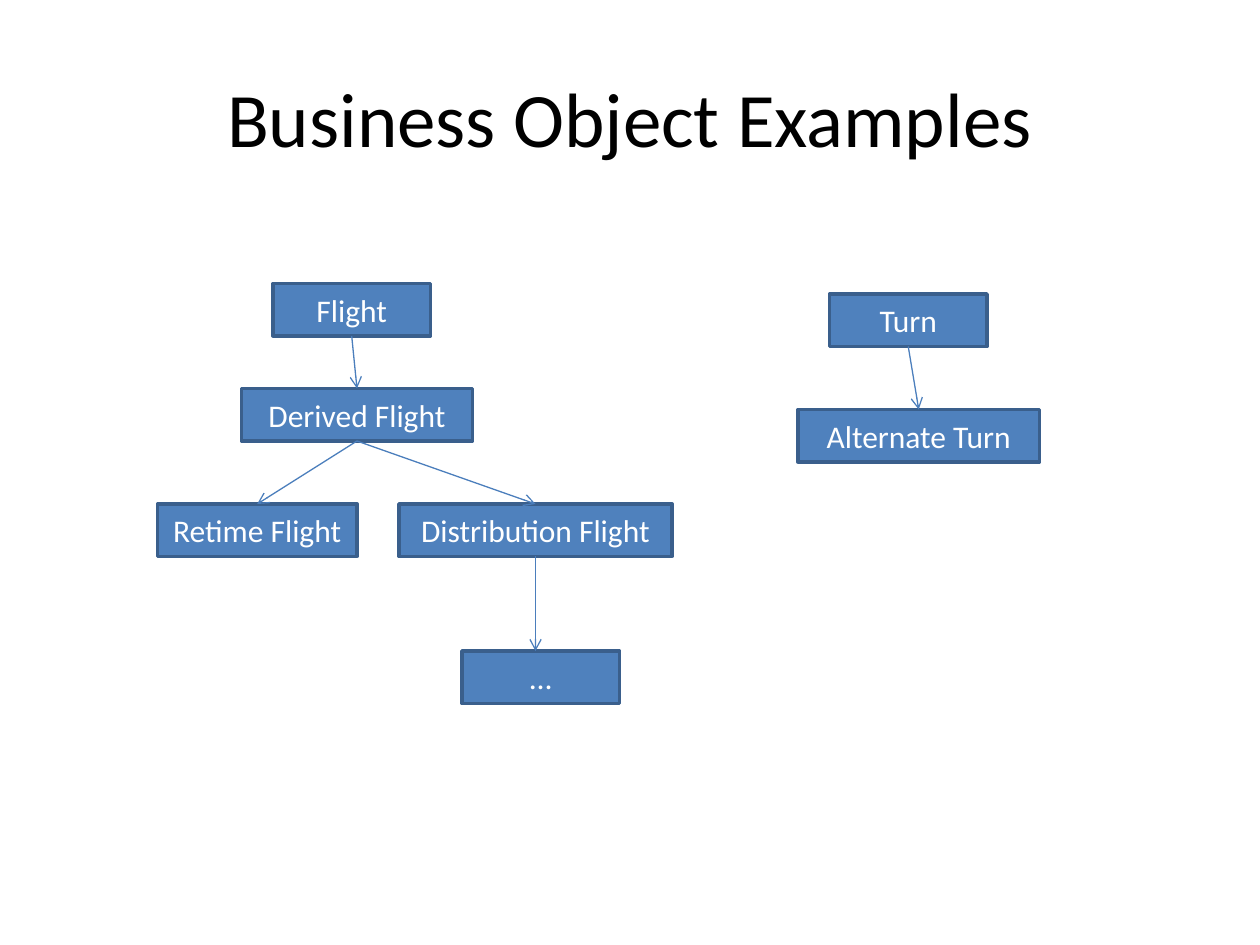
from dataclasses import dataclass

from lxml.etree import SubElement
from pptx import Presentation
from pptx.dml.color import RGBColor
from pptx.enum.shapes import MSO_CONNECTOR, MSO_SHAPE
from pptx.enum.text import MSO_ANCHOR, PP_ALIGN
from pptx.oxml.ns import qn
from pptx.shapes.autoshape import Shape
from pptx.shapes.shapetree import SlideShapes
from pptx.text.text import TextFrame
from pptx.util import Emu, Pt

FONT = "Calibri"
HIGH = 40
TOP, BOTTOM = 0, 2


@dataclass(frozen=True)
class Box:
    """A named business object and its place in px."""

    text: str
    left: int
    top: int
    width: int = 120

    @property
    def mid(self) -> int:
        """Give the x of the box centre."""
        return self.left + self.width // 2


@dataclass(frozen=True)
class Link:
    """An arrow from the bottom of one box to the top of another."""

    start: Box
    end: Box


FLIGHT = Box("Flight", 208, 216)
DERIVED = Box("Derived Flight", 184, 296, 176)
RETIME = Box("Retime Flight", 120, 384, 152)
DISTRIB = Box("Distribution Flight", 304, 384, 208)
MORE = Box("…", 352, 496)
TURN = Box("Turn", 632, 224)
ALTERN = Box("Alternate Turn", 608, 312, 184)

BOXES = [FLIGHT, DERIVED, RETIME, DISTRIB, MORE, TURN, ALTERN]
LINKS = [
    Link(FLIGHT, DERIVED),
    Link(DERIVED, RETIME),
    Link(DERIVED, DISTRIB),
    Link(TURN, ALTERN),
]


def px(count: int) -> Emu:
    """Turn px into EMU at 96 px to the inch."""
    return Emu(count * 9525)


def color(code: str) -> RGBColor:
    """Turn a hex string into a colour."""
    return RGBColor.from_string(code)


def write(frame: TextFrame, text: str, size: int, code: str) -> None:
    """Write one centred run in the middle of a frame."""
    frame.word_wrap = True
    frame.vertical_anchor = MSO_ANCHOR.MIDDLE
    para = frame.paragraphs[0]
    para.alignment = PP_ALIGN.CENTER
    run = para.add_run()
    run.text = text
    run.font.name = FONT
    run.font.size = Pt(size)
    run.font.color.rgb = color(code)


def draw_box(shapes: SlideShapes, box: Box) -> Shape:
    """Draw a business object."""
    shape = shapes.add_shape(
        MSO_SHAPE.RECTANGLE, px(box.left), px(box.top), px(box.width), px(HIGH)
    )
    shape.shadow.inherit = False
    shape.fill.solid()
    shape.fill.fore_color.rgb = color("4F81BD")
    shape.line.color.rgb = color("3A5F8C")
    shape.line.width = Pt(2)
    write(shape.text_frame, box.text, 18, "FFFFFF")
    return shape


def draw_link(shapes: SlideShapes, link: Link, drawn: dict[Box, Shape]) -> None:
    """Draw an arrow, joined wherever it meets the middle of a side."""
    start, end = link.start, link.end
    goal = start.mid if end is MORE else end.mid
    line = shapes.add_connector(
        MSO_CONNECTOR.STRAIGHT,
        px(start.mid), px(start.top + HIGH), px(goal), px(end.top),
    )
    line.begin_connect(drawn[start], BOTTOM)
    if goal == end.mid:
        line.end_connect(drawn[end], TOP)
    line.line.color.rgb = color("4B7EBC")
    line.line.width = Pt(0.75)
    SubElement(line.line._get_or_add_ln(), qn("a:tailEnd"), type="arrow")
    SubElement(line._element.spPr, qn("a:effectLst"))


def main() -> None:
    """Build the slide and save it."""
    deck = Presentation()
    deck.slide_width, deck.slide_height = px(960), px(720)
    shapes = deck.slides.add_slide(deck.slide_layouts[5]).shapes
    title = shapes.title
    title.left, title.top = px(48), px(29)
    title.width, title.height = px(864), px(120)
    write(title.text_frame, "Business Object Examples", 44, "000000")
    drawn = {box: draw_box(shapes, box) for box in BOXES}
    for link in [*LINKS, Link(DISTRIB, MORE)]:
        draw_link(shapes, link, drawn)
    deck.save("out.pptx")


if __name__ == "__main__":
    main()
